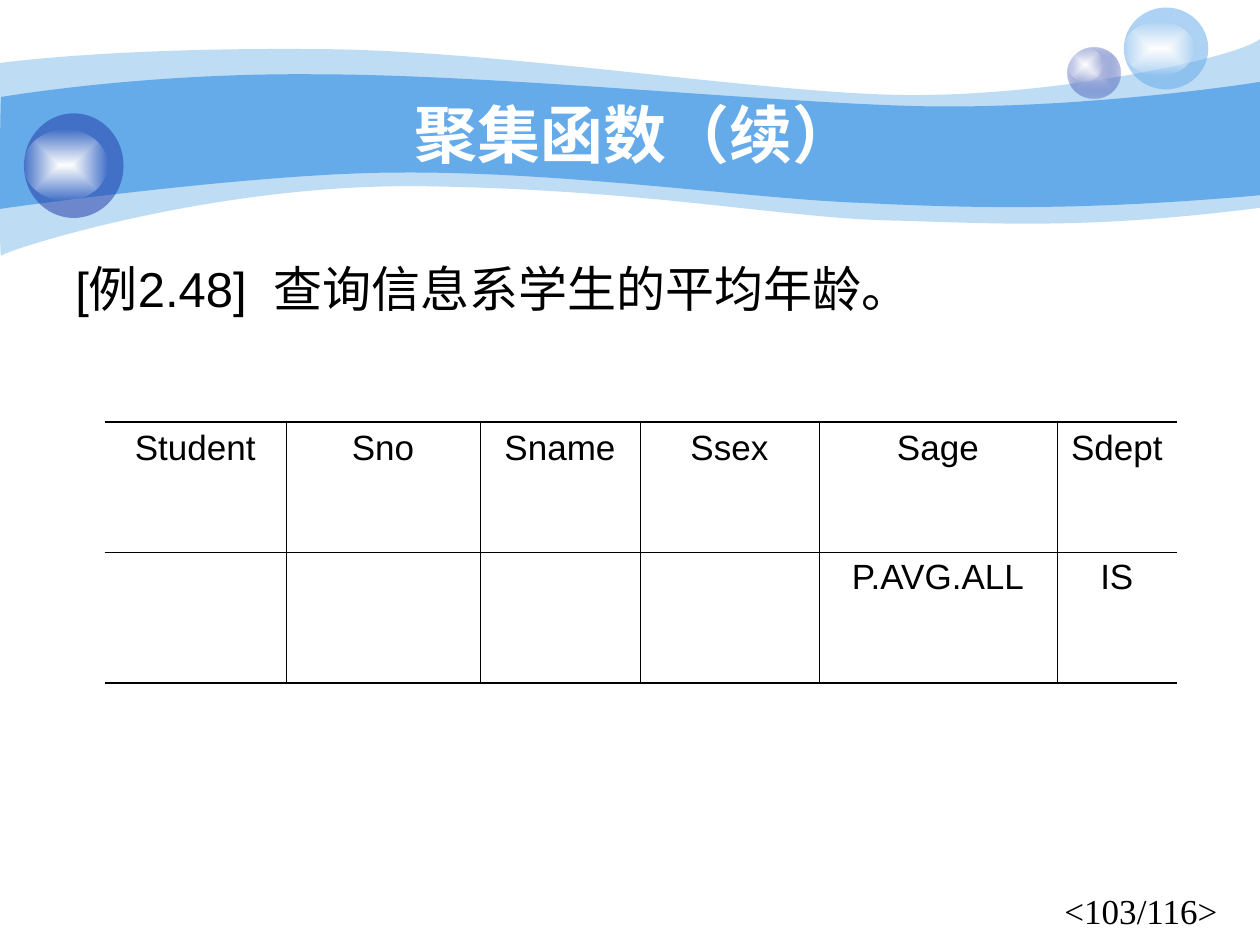
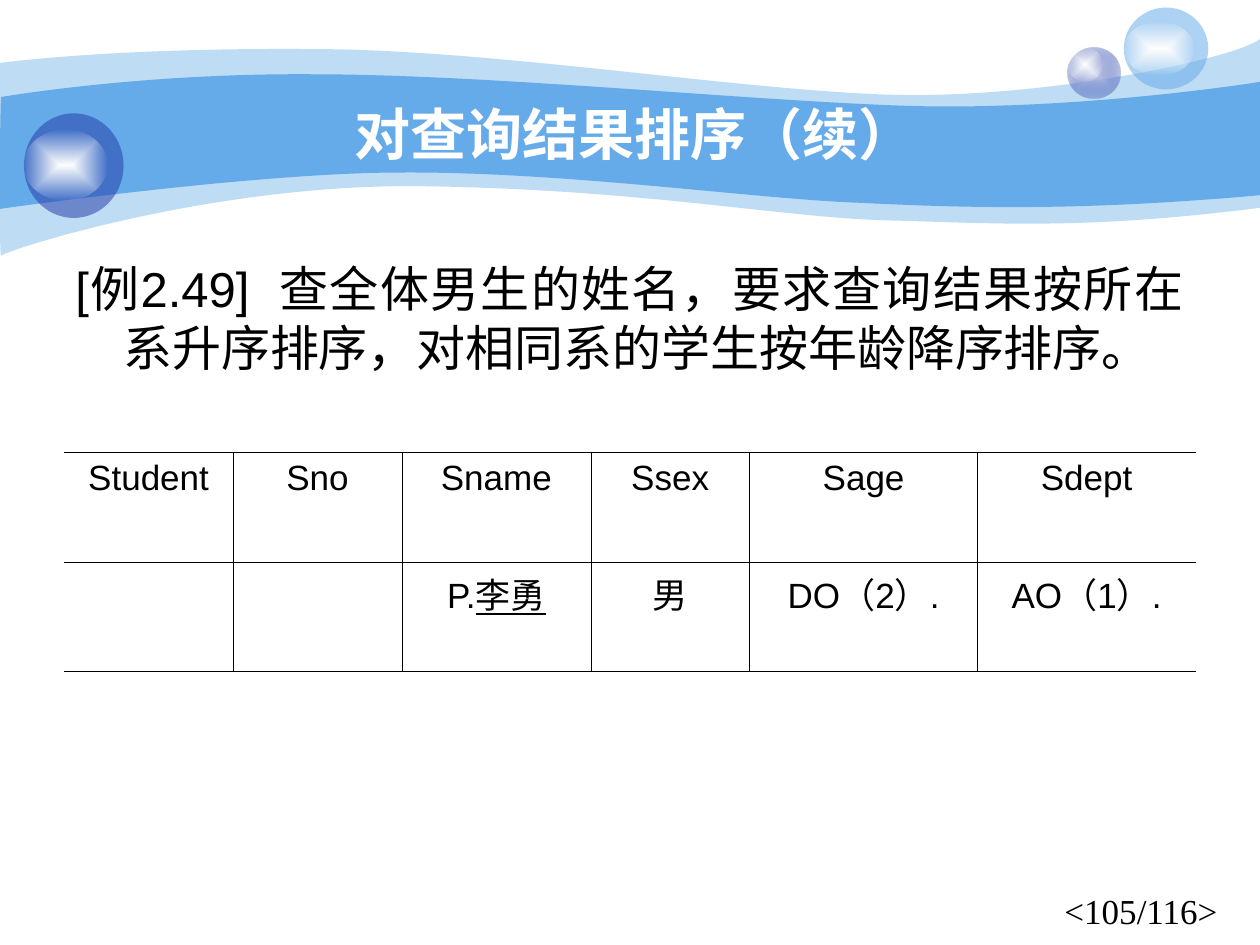
from lxml import etree
from pptx import Presentation
from pptx.dml.color import RGBColor
from pptx.enum.shapes import MSO_SHAPE
from pptx.enum.text import MSO_ANCHOR, PP_ALIGN
from pptx.oxml import parse_xml
from pptx.oxml.ns import nsdecls, qn
from pptx.util import Inches, Pt

SKY = RGBColor(0x65, 0xAA, 0xE9)
NAVY = RGBColor(0x23, 0x3D, 0xA9)
LILAC = RGBColor(0xC7, 0xCE, 0xE9)
WHITE = RGBColor(0xFF, 0xFF, 0xFF)
BLACK = RGBColor(0x00, 0x00, 0x00)

THICK, THIN = 1.08, 0.45
COLUMN_NAMES = ["Student", "Sno", "Sname", "Ssex", "Sage", "Sdept"]

# Outlines in inches: a step of one point is a line, of three points a curve
PALE_WAVE = [
    [(0, 0.5)],
    [(0.24, 0.47), (1.07, 0.38), (2.47, 0.39)],
    [(3.86, 0.39), (5.75, 0.7), (6.99, 0.75)],
    [(8.22, 0.8), (9.8, 0.47), (10, 0.31)],
    [(10, 1.65)],
    [(8.58, 1.83), (7.87, 1.77), (7.05, 1.75)],
    [(6.22, 1.73), (5.15, 1.51), (3.43, 1.48)],
    [(1.72, 1.44), (0.04, 1.99), (0.01, 2.03)],
    [(-0.01, 2.08), (0, 0.75), (0, 0.5)],
]
BRIGHT_WAVE = [
    [(0.01, 0.77)],
    [(0.02, 0.77), (1.1, 0.58), (2.48, 0.59)],
    [(3.86, 0.59), (5.95, 0.8), (7.18, 0.84)],
    [(8.41, 0.88), (9.76, 0.69), (10, 0.65)],
    [(10, 1.55)],
    [(8.53, 1.68), (7.65, 1.65), (6.82, 1.61)],
    [(5.99, 1.58), (4.47, 1.36), (3.17, 1.37)],
    [(2.03, 1.37), (-0.02, 1.66), (-0.01, 1.66)],
    [(0, 1.66), (0, 0.77), (0.01, 0.77)],
]


def write(frame, text, size=20, font="Arial", color=BLACK, bold=False,
          align=PP_ALIGN.LEFT, hanging=0):
    """Fill a text frame; text is a string or a list of (text, run attributes)."""
    para = frame.paragraphs[0]
    para.alignment = align
    if hanging:
        properties = para._p.get_or_add_pPr()
        properties.set("marL", str(Inches(hanging)))
        properties.set("indent", str(-Inches(hanging)))
        properties.set("hangingPunct", "0")
    for words, attributes in [(text, {})] if isinstance(text, str) else text:
        span = para.add_run()
        span.text = words
        span.font.name = font
        span.font.size = Pt(size)
        span.font.bold = bold
        span.font.color.rgb = color
        for name, value in attributes.items():
            span._r.get_or_add_rPr().set(name, value)


class Slides:
    """Holds the shared style and the current slide."""

    def __init__(self):
        self.deck = Presentation()
        self.deck.slide_width, self.deck.slide_height = Inches(10), Inches(7.5)
        self.page = None

    def add_page(self, title, title_size, number):
        self.page = self.deck.slides.add_slide(self.deck.slide_layouts[6])
        # Band of two waves
        self.wave(PALE_WAVE, opacity=41)
        self.wave(BRIGHT_WAVE)
        # Bubbles, each with a white glow
        self.bubble(8.47, 0.38, 0.42, 0.4, gradient=((LILAC, 100), (NAVY, 31)))
        self.glow(8.47, 0.38, 0.28, 0.27)
        self.bubble(8.92, 0.06, 0.67, 0.65, SKY, 53)
        self.glow(8.92, 0.17, 0.56, 0.43)
        self.bubble(0.19, 0.9, 0.79, 0.83, NAVY, 53)
        self.glow(0.19, 1.03, 0.66, 0.56)
        # Page number and title
        self.text(8.35, 7.01, 1.53, 0.77, f"<{number}/116>", font="Times New Roman")
        self.text(1, 0.75, 8.08, 0.62, title, anchor=MSO_ANCHOR.MIDDLE, size=title_size,
                  color=WHITE, bold=True, align=PP_ALIGN.CENTER)

    def paint(self, shape, color, opacity):
        shape.shadow.inherit = False
        shape.line.fill.background()
        if color is None:
            return
        shape.fill.solid()
        shape.fill.fore_color.rgb = color
        if opacity < 100:
            node = shape._element.spPr.find(qn("a:solidFill"))[0]
            etree.SubElement(node, qn("a:alpha")).set("val", str(opacity * 1000))

    def wave(self, steps, opacity=100):
        start, *rest = [(Inches(x), Inches(y)) for step in steps for x, y in step]
        builder = self.page.shapes.build_freeform(*start)
        builder.add_line_segments(rest, close=True)
        shape = builder.convert_to_shape()
        # Join the three points of each curve into one Bezier segment
        segments = iter(list(shape._element.iter(qn("a:lnTo"))))
        for step in steps[1:]:
            first, *others = [next(segments) for _ in step]
            if others:
                first.tag = qn("a:cubicBezTo")
                for segment in others:
                    first.append(segment[0])
                    segment.getparent().remove(segment)
        self.paint(shape, SKY, opacity)

    def bubble(self, left, top, width, height, color=None, opacity=100, gradient=None):
        shape = self.page.shapes.add_shape(
            MSO_SHAPE.OVAL, Inches(left), Inches(top), Inches(width), Inches(height))
        self.paint(shape, color, opacity)
        if gradient:
            stops = "".join(
                f'<a:gs pos="{place}"><a:srgbClr val="{tone}">'
                f'<a:alpha val="{alpha * 1000}"/></a:srgbClr></a:gs>'
                for place, (tone, alpha) in zip((0, 100000), gradient))
            fill = parse_xml(
                f'<a:gradFill {nsdecls("a")} rotWithShape="1"><a:gsLst>{stops}</a:gsLst>'
                '<a:path path="rect"><a:fillToRect l="50000" t="50000" r="50000" b="50000"/>'
                '</a:path></a:gradFill>')
            shape._element.spPr.find(qn("a:prstGeom")).addnext(fill)

    def glow(self, left, top, width, height):
        self.bubble(left, top, width, height, gradient=((WHITE, 100), (WHITE, 0)))

    def text(self, left, top, width, height, text, anchor=MSO_ANCHOR.TOP, **style):
        box = self.page.shapes.add_textbox(
            Inches(left), Inches(top), Inches(width), Inches(height))
        box.text_frame.word_wrap = True
        box.text_frame.vertical_anchor = anchor
        write(box.text_frame, text, **style)

    def example(self, number, question, width):
        # The widened space sets the question apart from its number
        spans = [(f"[例{number}]", {}), (" ", {"spc": "780"}), (question, {})]
        self.text(0.5, 2, width, 4.92, spans, size=28, align=PP_ALIGN.JUSTIFY, hanging=0.38)

    def border(self, cell, side, width):
        line = etree.SubElement(cell._tc.get_or_add_tcPr(), qn(f"a:{side}"))
        if not width:
            etree.SubElement(line, qn("a:noFill"))
            return
        line.set("w", str(Pt(width)))
        fill = etree.SubElement(line, qn("a:solidFill"))
        etree.SubElement(fill, qn("a:srgbClr")).set("val", str(BLACK))

    def table(self, left, top, widths, heights, rows):
        table = self.page.shapes.add_table(
            len(rows), len(widths), Inches(left), Inches(top),
            Inches(sum(widths)), Inches(sum(heights))).table
        table.first_row = table.horz_banding = False
        for column, width in zip(table.columns, widths):
            column.width = Inches(width)
        for row, height in zip(table.rows, heights):
            row.height = Inches(height)
        # Heavy rules above and below, thin rules inside, open sides
        across = [THICK] + [THIN] * (len(rows) - 1) + [THICK]
        down = [0] + [THIN] * (len(widths) - 1) + [0]
        for r, row in enumerate(rows):
            for c, text in enumerate(row):
                cell = table.cell(r, c)
                for side, width in (("lnL", down[c]), ("lnR", down[c + 1]),
                                    ("lnT", across[r]), ("lnB", across[r + 1])):
                    self.border(cell, side, width)
                cell.fill.background()
                if text:
                    write(cell.text_frame, text, align=PP_ALIGN.CENTER)


def main():
    slides = Slides()

    # Average with an aggregate function
    slides.add_page("聚集函数（续）", 36, 103)
    slides.example("2.48", "查询信息系学生的平均年龄。", 8.75)
    slides.table(0.83, 3.35, [1.44, 1.54, 1.27, 1.42, 1.89, 0.95], [1.03, 1.04],
                 [COLUMN_NAMES, ["", "", "", "", "P.AVG.ALL", "IS"]])

    # Sorted result
    slides.add_page("对查询结果排序（续）", 32, 105)
    slides.example("2.49", "查全体男生的姓名，要求查询结果按所在系升序排序，"
                   "对相同系的学生按年龄降序排序。", 8.99)
    slides.table(0.51, 3.59, [1.34, 1.34, 1.5, 1.26, 1.81, 1.73], [0.87, 0.87],
                 [COLUMN_NAMES, ["", "", [("P.", {}), ("李勇", {"u": "sng"})], "男",
                                 "DO（2）.", "AO（1）."]])

    slides.deck.save("out.pptx")


if __name__ == "__main__":
    main()
